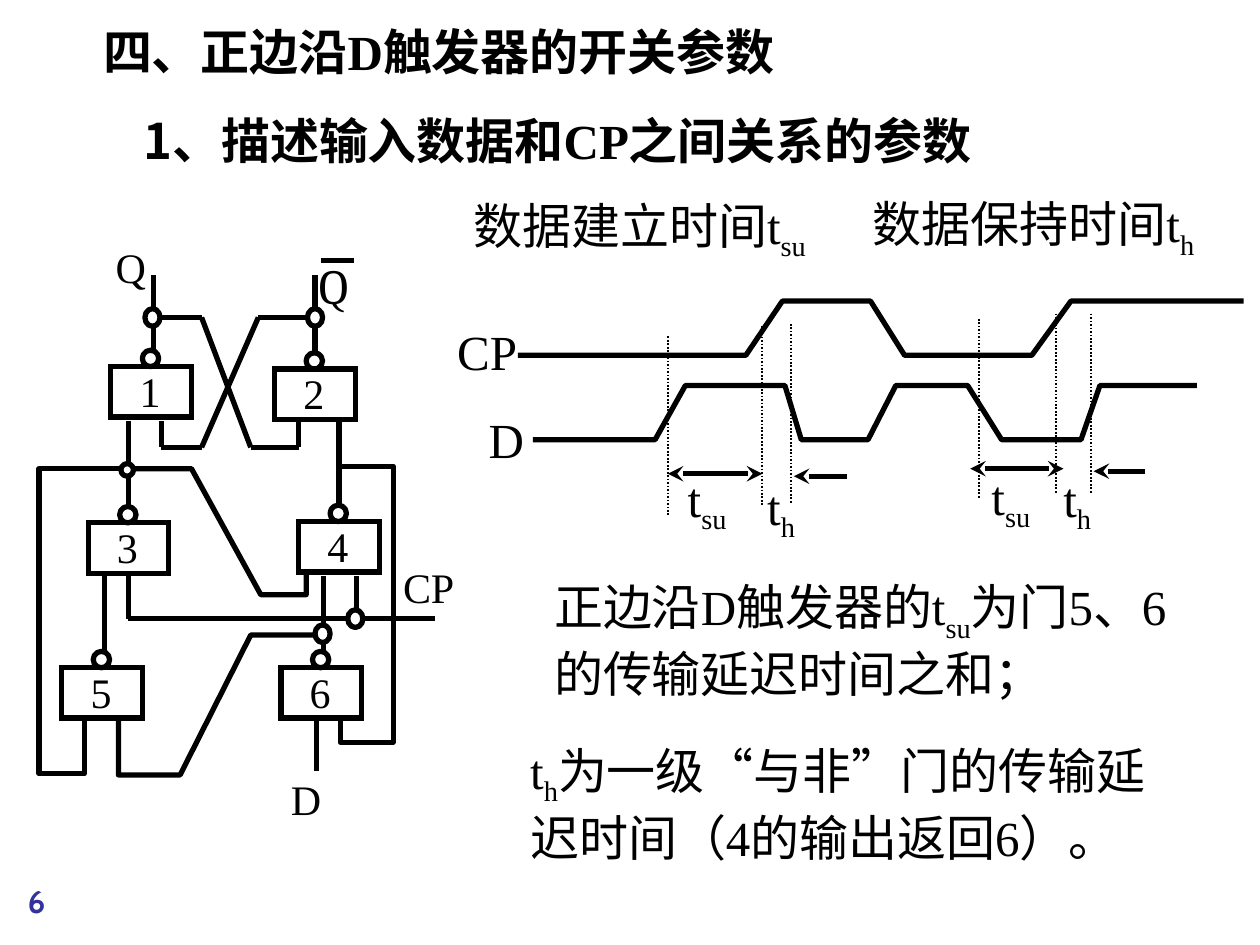
from lxml.etree import SubElement
from pptx import Presentation
from pptx.dml.color import RGBColor
from pptx.enum.dml import MSO_LINE
from pptx.enum.shapes import MSO_CONNECTOR, MSO_SHAPE
from pptx.enum.text import MSO_ANCHOR, MSO_AUTO_SIZE, PP_ALIGN
from pptx.oxml.ns import qn
from pptx.util import Emu, Pt

PX = 9144  # 100 px to the inch
COLORS = {"ink": "000000", "paper": "FFFFFF", "page": "333399"}
SERIF, SANS = "Times New Roman", "Noto Sans CJK SC"

# number, left, top
GATES = [("1", 88, 291), ("2", 218, 293), ("3", 70, 415),
         ("4", 237, 414), ("5", 49, 530), ("6", 223, 530)]
GATE_WIDTH, GATE_HEIGHT, GATE_BUBBLE = 64, 40, 13

CIRCUIT_LINES = [
    (255, 207, 281, 207),  # bar over the inverted output
    (122, 279, 122, 218), (250, 279, 250, 218),
    (122, 252, 160, 252), (250, 252, 205, 252),
    (102, 402, 102, 334), (269, 402, 269, 334),
    (257, 518, 257, 457), (83, 518, 83, 457), (251, 571, 251, 612),
    (102, 457, 102, 491), (102, 491, 345, 491), (283, 457, 283, 491),
    (128, 334, 128, 355), (237, 334, 237, 355),
    (128, 355, 160, 355), (205, 252, 160, 355),
    (237, 355, 199, 355), (160, 252, 199, 355),
]
FEEDBACK_PATHS = [
    [(254, 504), (199, 504), (143, 615), (94, 615), (94, 570)],
    [(103, 372), (31, 372), (31, 614), (67, 614), (67, 570)],
    [(101, 372), (152, 372), (207, 472), (243, 472), (243, 455)],
    [(267, 370), (312, 370), (312, 589), (270, 589), (270, 568)],
]
JUNCTIONS = [(250, 496, 12, 14), (276, 484, 12, 14), (244, 245, 12, 14),
             (115, 245, 12, 14), (96, 368, 10, 10)]

CLOCK_WAVE = [(411, 282), (592, 282), (621, 239), (691, 239), (718, 282),
              (819, 282), (850, 239), (987, 239)]
DATA_WAVE = [(423, 349), (520, 349), (544, 306), (623, 306), (636, 349),
             (689, 349), (711, 306), (768, 306), (795, 349), (858, 349),
             (873, 306), (950, 306)]
# x, top
TIME_MARKS = [(605, 259), (628, 257), (530, 267), (777, 253), (838, 249), (866, 249)]
MARK_LENGTH = 143
# start x, end x, y, arrowheads
SPANS = [(530, 605, 376, ("headEnd", "tailEnd")), (770, 844, 372, ("headEnd", "tailEnd")),
         (630, 672, 378, ("headEnd",)), (868, 909, 374, ("headEnd",))]
# subscript, left, top
SPAN_LABELS = [("su", 536, 367), ("su", 777, 365), ("h", 599, 373), ("h", 834, 367)]


def px(*lengths):
    return [Emu(length * PX) for length in lengths]


def rgb(name):
    return RGBColor.from_string(COLORS[name])


def stroke(shape, color="ink", weight=3):
    shape.line.color.rgb = rgb(color)
    shape.line.width = Pt(weight)


def write(frame, runs, size=28, font=SERIF, bold=False, color="ink"):
    """Fill the frame from (text, style) pairs; style is "sub", a font name or None."""
    paragraph = frame.paragraphs[0]
    paragraph.alignment = PP_ALIGN.LEFT
    for text, style in runs:
        run = paragraph.add_run()
        run.text = text
        run.font.size = Pt(size)
        run.font.bold = bold
        run.font.color.rgb = rgb(color)
        run.font.name = font if style in (None, "sub") else style
        properties = run.font._element
        SubElement(properties, qn("a:ea")).set("typeface", SANS)
        if style == "sub":
            properties.set("baseline", "-25000")


def add_label(slide, box, runs, wrap=True, margin=None, **style):
    frame = slide.shapes.add_textbox(*px(*box)).text_frame
    frame.word_wrap = wrap
    if not wrap:
        frame.auto_size = MSO_AUTO_SIZE.SHAPE_TO_FIT_TEXT
    if margin is not None:
        frame.margin_left = frame.margin_right = margin
        frame.margin_top = frame.margin_bottom = margin
    write(frame, runs, **style)


def add_framed_text(slide, box, runs):
    panel = slide.shapes.add_shape(MSO_SHAPE.RECTANGLE, *px(*box))
    panel.shadow.inherit = False
    panel.fill.background()
    stroke(panel, "paper")
    panel.text_frame.word_wrap = True
    panel.text_frame.vertical_anchor = MSO_ANCHOR.TOP
    write(panel.text_frame, runs)


def add_line(slide, ends, weight=3, dotted=False, arrows=()):
    line = slide.shapes.add_connector(MSO_CONNECTOR.STRAIGHT, *px(*ends))
    stroke(line, weight=weight)
    if dotted:
        line.line.dash_style = MSO_LINE.ROUND_DOT
    for end in arrows:
        SubElement(line.line._get_or_add_ln(), qn(f"a:{end}")).set("type", "stealth")
    SubElement(line._element.spPr, qn("a:effectLst"))


def add_path(slide, points):
    builder = slide.shapes.build_freeform(*points[0], scale=PX)
    builder.add_line_segments(points[1:], close=False)
    path = builder.convert_to_shape()
    path.shadow.inherit = False
    path.fill.background()
    stroke(path)


def add_outline(slide, kind, box, filled=False):
    outline = slide.shapes.add_shape(kind, *px(*box))
    outline.shadow.inherit = False
    if filled:
        outline.fill.solid()
        outline.fill.fore_color.rgb = rgb("paper")
    else:
        outline.fill.background()
    stroke(outline)
    if kind == MSO_SHAPE.RECTANGLE:
        SubElement(outline.line._get_or_add_ln(), qn("a:miter")).set("lim", "800000")


def add_gate(slide, number, left, top):
    """Draw a NAND gate with its inverting bubble and number."""
    add_outline(slide, MSO_SHAPE.RECTANGLE, (left, top, GATE_WIDTH, GATE_HEIGHT))
    add_outline(slide, MSO_SHAPE.OVAL,
                (left + 25, top - GATE_BUBBLE, GATE_BUBBLE, GATE_BUBBLE))
    add_label(slide, (left + 13, top - 6, 41, 50), [(number, None)], size=24)


def add_headings(slide):
    add_label(slide, (72, 12, 603, 57),
              [("四、正边沿", None), ("D", SERIF), ("触发器的开关参数", None)],
              font=SANS, bold=True)
    add_label(slide, (104, 83, 750, 57),
              [("1、描述输入数据和", None), ("CP", SERIF), ("之间关系的参数", None)],
              font=SANS, bold=True)
    add_label(slide, (366, 150, 299, 57), [("数据建立时间t", None), ("su", "sub")])
    add_label(slide, (683, 149, 297, 57), [("数据保持时间t", None), ("h", "sub")])


def add_timing_diagram(slide):
    add_framed_text(slide, (353, 250, 95, 57), [("CP", None)])
    add_label(slide, (378, 320, 65, 57), [("D", None)])
    for wave in (CLOCK_WAVE, DATA_WAVE):
        add_path(slide, wave)
    for x, top in TIME_MARKS:
        add_line(slide, (x, top, x, top + MARK_LENGTH), weight=1, dotted=True)
    for start, end, y, arrows in SPANS:
        add_line(slide, (start, y, end, y), arrows=arrows)
    for subscript, left, top in SPAN_LABELS:
        add_label(slide, (left, top, 78, 57), [("t", None), (subscript, "sub")])


def add_circuit(slide):
    for name, box in (("CP", (310, 441, 61, 51)), ("D", (221, 609, 44, 50)),
                      ("Q", (82, 187, 46, 50))):
        add_label(slide, box, [(name, None)], wrap=False, size=24)
    add_label(slide, (253, 203, 32, 47), [("Q", None)], margin=0, font="Cambria")
    for ends in CIRCUIT_LINES:
        add_line(slide, ends)
    for points in FEEDBACK_PATHS:
        add_path(slide, points)
    for box in JUNCTIONS:
        add_outline(slide, MSO_SHAPE.OVAL, box, filled=True)
    for gate in GATES:
        add_gate(slide, *gate)


def add_conclusions(slide):
    add_framed_text(slide, (430, 453, 524, 104),
                    [("正边沿D触发器的t", None), ("su", "sub"),
                     ("为门5、6的传输延迟时间之和；", None)])
    add_framed_text(slide, (411, 583, 529, 104),
                    [("t", None), ("h", "sub"),
                     ("为一级“与非”门的传输延迟时间（4的输出返回6）。", None)])


def main():
    presentation = Presentation()
    presentation.slide_width, presentation.slide_height = px(1000, 750)
    slide = presentation.slides.add_slide(presentation.slide_layouts[6])
    slide.background.fill.solid()
    slide.background.fill.fore_color.rgb = rgb("paper")
    add_headings(slide)
    add_conclusions(slide)
    add_timing_diagram(slide)
    add_circuit(slide)
    add_label(slide, (12, 695, 99, 37), [("6", None)],
              size=18, font="Cabin", bold=True, color="page")
    presentation.save("out.pptx")


if __name__ == "__main__":
    main()
